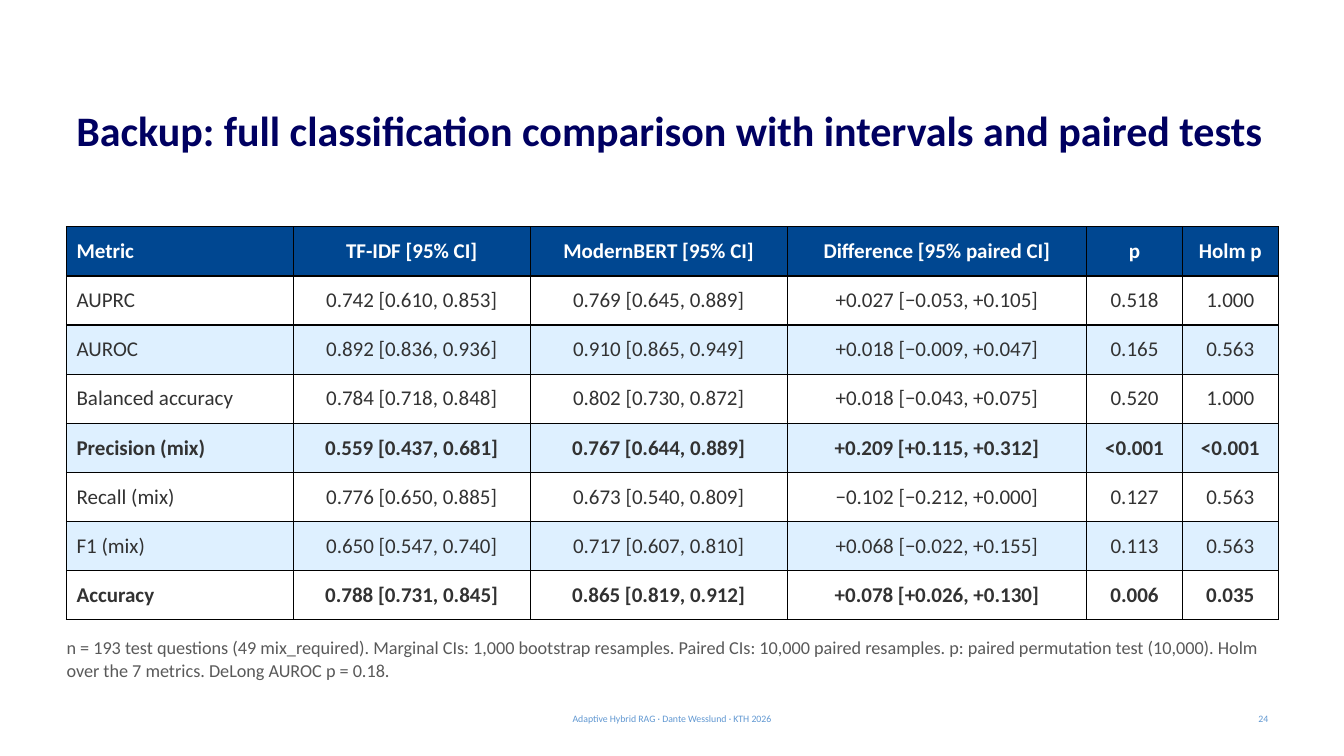
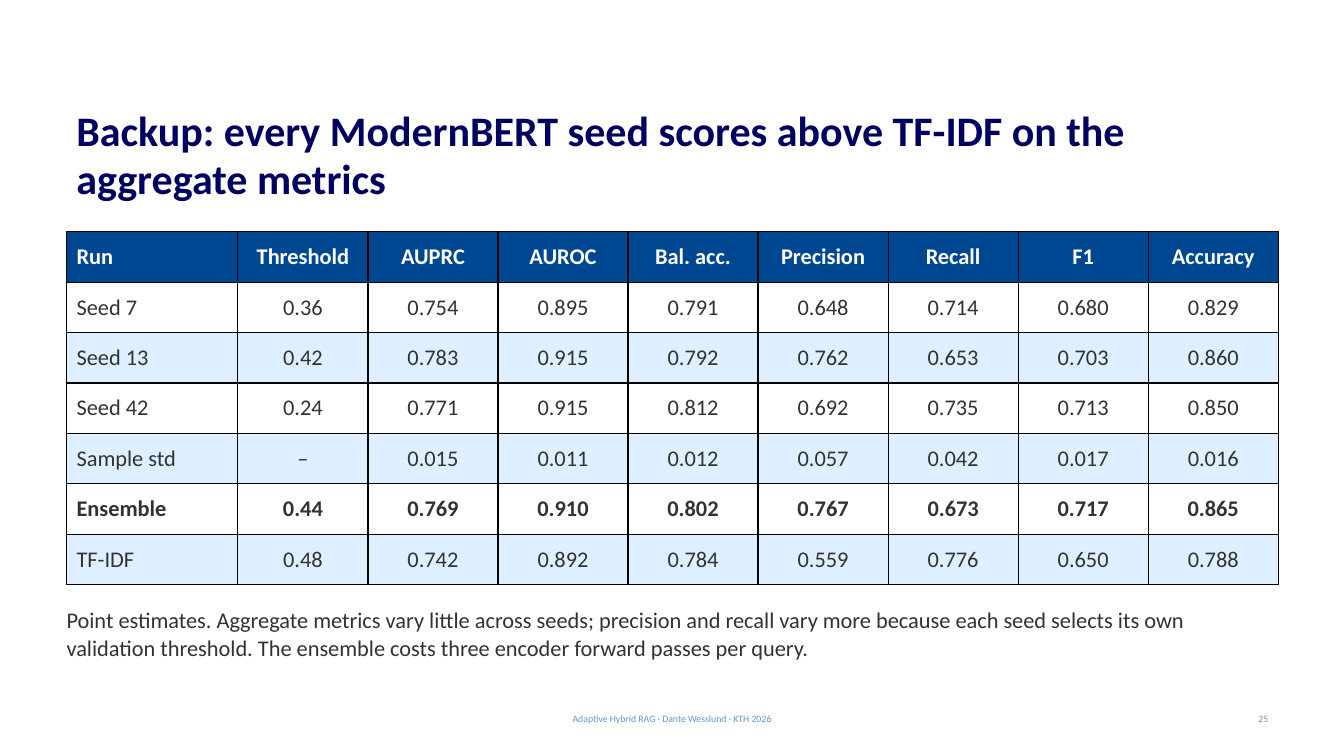
from lxml import etree
from pptx import Presentation
from pptx.dml.color import RGBColor
from pptx.enum.text import MSO_ANCHOR, PP_ALIGN
from pptx.oxml.ns import qn
from pptx.util import Pt

NAVY = RGBColor(0x00, 0x00, 0x61)
BLUE = RGBColor(0x00, 0x47, 0x91)
SKY = RGBColor(0x61, 0x98, 0xD2)
PALE = RGBColor(0xDE, 0xF0, 0xFF)
WHITE = RGBColor(0xFF, 0xFF, 0xFF)
BLACK = RGBColor(0x00, 0x00, 0x00)
INK = RGBColor(0x32, 0x32, 0x32)
GREY = RGBColor(0x59, 0x59, 0x59)

FONT = "Calibri"
LEFT, WIDTH = 47.5, 865.5
FOOTER = "Adaptive Hybrid RAG · Dante Wesslund · KTH 2026"

# Rows are (cells, bold)
COMPARISON = [
    (["Metric", "TF-IDF [95% CI]", "ModernBERT [95% CI]",
      "Difference [95% paired CI]", "p", "Holm p"], True),
    (["AUPRC", "0.742 [0.610, 0.853]", "0.769 [0.645, 0.889]",
      "+0.027 [−0.053, +0.105]", "0.518", "1.000"], False),
    (["AUROC", "0.892 [0.836, 0.936]", "0.910 [0.865, 0.949]",
      "+0.018 [−0.009, +0.047]", "0.165", "0.563"], False),
    (["Balanced accuracy", "0.784 [0.718, 0.848]", "0.802 [0.730, 0.872]",
      "+0.018 [−0.043, +0.075]", "0.520", "1.000"], False),
    (["Precision (mix)", "0.559 [0.437, 0.681]", "0.767 [0.644, 0.889]",
      "+0.209 [+0.115, +0.312]", "<0.001", "<0.001"], True),
    (["Recall (mix)", "0.776 [0.650, 0.885]", "0.673 [0.540, 0.809]",
      "−0.102 [−0.212, +0.000]", "0.127", "0.563"], False),
    (["F1 (mix)", "0.650 [0.547, 0.740]", "0.717 [0.607, 0.810]",
      "+0.068 [−0.022, +0.155]", "0.113", "0.563"], False),
    (["Accuracy", "0.788 [0.731, 0.845]", "0.865 [0.819, 0.912]",
      "+0.078 [+0.026, +0.130]", "0.006", "0.035"], True),
]
SEEDS = [
    (["Run", "Threshold", "AUPRC", "AUROC", "Bal. acc.", "Precision",
      "Recall", "F1", "Accuracy"], True),
    (["Seed 7", "0.36", "0.754", "0.895", "0.791", "0.648", "0.714", "0.680", "0.829"], False),
    (["Seed 13", "0.42", "0.783", "0.915", "0.792", "0.762", "0.653", "0.703", "0.860"], False),
    (["Seed 42", "0.24", "0.771", "0.915", "0.812", "0.692", "0.735", "0.713", "0.850"], False),
    (["Sample std", "–", "0.015", "0.011", "0.012", "0.057", "0.042", "0.017", "0.016"], False),
    (["Ensemble", "0.44", "0.769", "0.910", "0.802", "0.767", "0.673", "0.717", "0.865"], True),
    (["TF-IDF", "0.48", "0.742", "0.892", "0.784", "0.559", "0.776", "0.650", "0.788"], False),
]


def style_text(tf, text, size, color, bold=False, align=PP_ALIGN.LEFT):
    tf.text = text
    p = tf.paragraphs[0]
    p.alignment = align
    font = p.runs[0].font
    font.name, font.size, font.bold = FONT, Pt(size), bold
    font.color.rgb = color
    return p


def add_text(s, box, text, size, color, insets=(0, 0, 0, 0),
             anchor=MSO_ANCHOR.TOP, **style):
    tf = s.shapes.add_textbox(*map(Pt, box)).text_frame
    tf.word_wrap = True
    tf.vertical_anchor = anchor
    tf.margin_left, tf.margin_top, tf.margin_right, tf.margin_bottom = map(Pt, insets)
    return style_text(tf, text, size, color, **style)


def add_frame(prs, title, number):
    """New slide with title, footer and slide number."""
    s = prs.slides.add_slide(prs.slide_layouts[6])
    p = add_text(s, (LEFT, 68.4, WIDTH, 75.6), title, 30, NAVY,
                 insets=(7.2, 8.64, 7.2, 3.6), bold=True)
    p.line_spacing = 0.95
    for left, width, text, align in (
            (318, 324, FOOTER, PP_ALIGN.CENTER),
            (697, 216, str(number), PP_ALIGN.RIGHT)):
        add_text(s, (left, 509.8, width, 7.6), text, 7, SKY,
                 insets=(7.2, 3.6, 7.2, 3.6), anchor=MSO_ANCHOR.MIDDLE, align=align)
    return s


def set_borders(cell, color, width):
    tcPr = cell._tc.get_or_add_tcPr()
    for i, tag in enumerate(("a:lnL", "a:lnR", "a:lnT", "a:lnB")):
        ln = etree.Element(qn(tag), w=str(Pt(width)))
        fill = etree.SubElement(ln, qn("a:solidFill"))
        etree.SubElement(fill, qn("a:srgbClr"), val=str(color))
        tcPr.insert(i, ln)


def add_grid(s, top, rows, col_widths, row_height, size):
    """Table with a blue header and alternating body rows."""
    tbl = s.shapes.add_table(len(rows), len(col_widths), Pt(LEFT), Pt(top),
                             Pt(sum(col_widths)), Pt(row_height * len(rows))).table
    for col, width in zip(tbl.columns, col_widths):
        col.width = Pt(width)
    for i, (texts, bold) in enumerate(rows):
        tbl.rows[i].height = Pt(row_height)
        fill = BLUE if i == 0 else WHITE if i % 2 else PALE
        for j, text in enumerate(texts):
            cell = tbl.cell(i, j)
            cell.fill.solid()
            cell.fill.fore_color.rgb = fill
            cell.vertical_anchor = MSO_ANCHOR.MIDDLE
            cell.margin_left = cell.margin_right = Pt(7.2)
            cell.margin_top = cell.margin_bottom = Pt(2.16)
            style_text(cell.text_frame, text, size, INK if i else WHITE, bold,
                       PP_ALIGN.CENTER if j else PP_ALIGN.LEFT)
            set_borders(cell, BLACK, 1)


def add_note(s, top, height, text, size, color):
    p = add_text(s, (LEFT, top, WIDTH, height), text, size, color)
    p.line_spacing = 1.05
    p.space_after = Pt(6)


def comparison_slide(prs):
    s = add_frame(prs, "Backup: full classification comparison with intervals "
                       "and paired tests", 24)
    add_grid(s, 162, COMPARISON, [162, 169.2, 183.6, 213.9, 68.4, 68.4], 35.1, 15)
    add_note(s, 453.6, 43.2,
             "n = 193 test questions (49 mix_required). Marginal CIs: 1,000 bootstrap "
             "resamples. Paired CIs: 10,000 paired resamples. p: paired permutation test "
             "(10,000). Holm over the 7 metrics. DeLong AUROC p = 0.18.", 13, GREY)


def seeds_slide(prs):
    s = add_frame(prs, "Backup: every ModernBERT seed scores above TF-IDF on the "
                       "aggregate metrics", 25)
    add_grid(s, 165.6, SEEDS, [122.4] + [92.9] * 8, 36, 16)
    add_note(s, 432, 57.6,
             "Point estimates. Aggregate metrics vary little across seeds; precision and "
             "recall vary more because each seed selects its own validation threshold. "
             "The ensemble costs three encoder forward passes per query.", 16, INK)


def main():
    prs = Presentation()
    prs.slide_width, prs.slide_height = Pt(960), Pt(540)
    comparison_slide(prs)
    seeds_slide(prs)
    prs.save("out.pptx")


if __name__ == "__main__":
    main()
